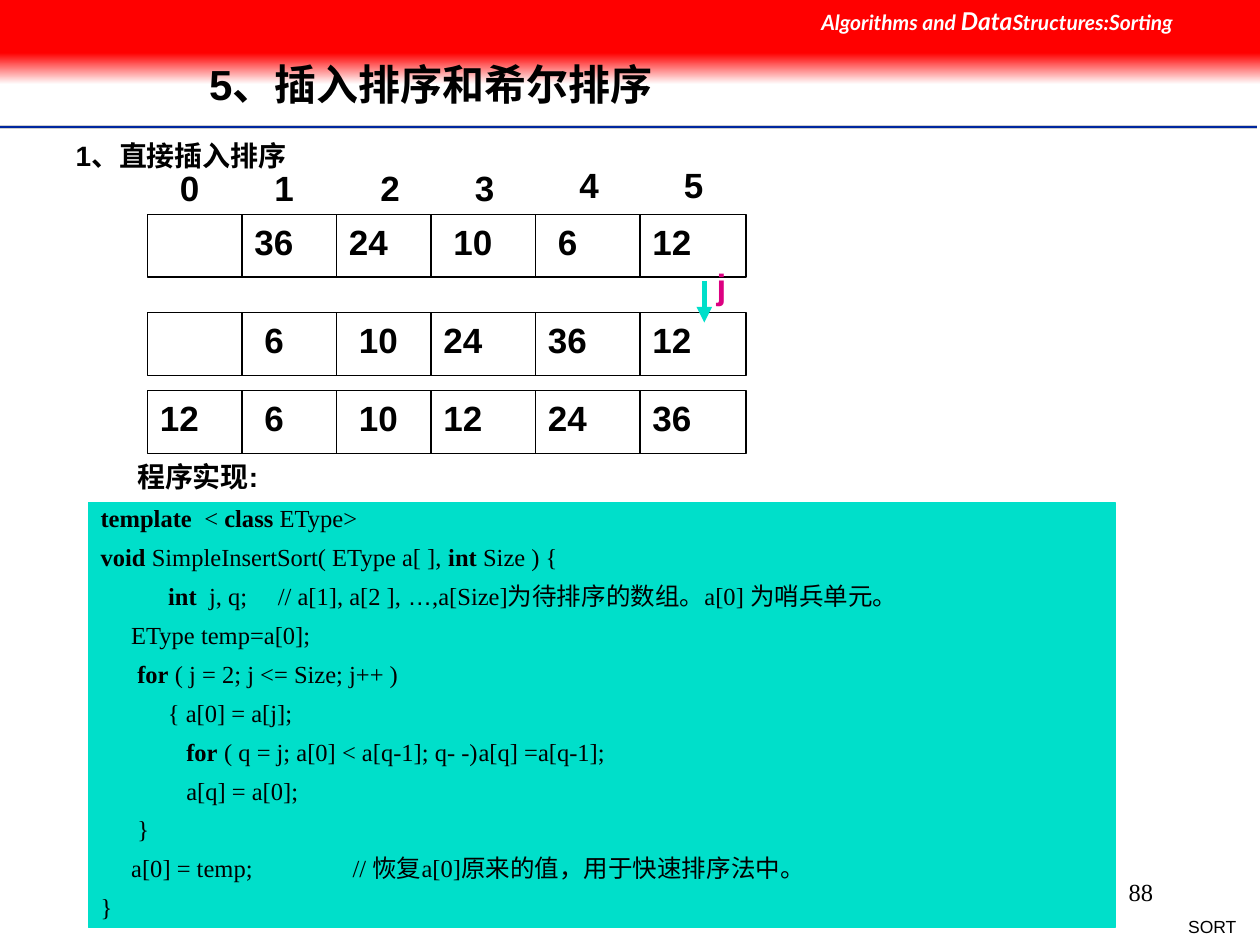
from lxml import etree
from pptx import Presentation
from pptx.dml.color import RGBColor
from pptx.enum.shapes import MSO_CONNECTOR, MSO_SHAPE
from pptx.enum.text import MSO_ANCHOR, MSO_AUTO_SIZE, PP_ALIGN
from pptx.oxml.ns import qn
from pptx.util import Inches, Pt

STRAIGHT = MSO_CONNECTOR.STRAIGHT
RECTANGLE = MSO_SHAPE.RECTANGLE
TOP, MIDDLE = MSO_ANCHOR.TOP, MSO_ANCHOR.MIDDLE
LEFT, RIGHT, JUSTIFY = PP_ALIGN.LEFT, PP_ALIGN.RIGHT, PP_ALIGN.JUSTIFY

BLACK = RGBColor(0x00, 0x00, 0x00)
WHITE = RGBColor(0xFF, 0xFF, 0xFF)
RED = RGBColor(0xFF, 0x00, 0x00)
GRAY = RGBColor(0xCE, 0xCE, 0xCE)
NAVY = RGBColor(0x00, 0x27, 0x9F)
TEAL = RGBColor(0x00, 0xDF, 0xCA)
MAGENTA = RGBColor(0xDC, 0x00, 0x81)

SANS, SERIF, HEADER, CHINESE = "Arial", "Times New Roman", "Lato", "Noto Sans CJK SC"

# Array drawing: cell edges, cell height, and the values of each row
EDGES = [1.17, 1.92, 2.67, 3.42, 4.25, 5.08, 5.92]
CELL_HEIGHT = 0.5
ROWS = [
    (1.7, ["", "36", "24", "10", "6", "12"]),
    (2.48, ["", "6", "10", "24", "36", "12"]),
    (3.1, ["12", "6", "10", "12", "24", "36"]),
]
NUDGED = {"6": 0.08, "10": 0.08}
INDEX_PLACES = [(1.33, 1.27), (2.08, 1.27), (2.92, 1.27),
                (3.67, 1.27), (4.5, 1.25), (5.33, 1.25)]

# Code lines as (text, style) spans: b bold, n normal, c Chinese, s sans
CODE = [
    [("template  ", "b"), ("< ", "n"), ("class", "b"), (" EType> ", "n")],
    [("void ", "b"), ("SimpleInsertSort( EType a[ ],", "n"), (" int ", "b"),
     ("Size ) {", "n")],
    [("           ", "n"), ("int ", "b"), (" j, q;     // a[1], a[2 ], ", "n"),
     ("…", "s"), (",a[Size]", "n"), ("为待排序的数组。", "c"), ("a[0] ", "n"),
     ("为哨兵单元。", "c")],
    [("     EType temp=a[0];", "n")],
    [("      for", "b"), (" ( j = 2; j <= Size; j++ )  ", "n")],
    [("           { a[0] = a[j];", "n")],
    [("              for", "b"),
     (" ( q = j; a[0] < a[q-1]; q- -)\ta[q] =a[q-1];", "n")],
    [("              a[q] = a[0];", "n")],
    [("      }", "n")],
    [("     a[0] = temp;\t// ", "n"), ("恢复", "c"), ("a[0]", "n"),
     ("原来的值，用于快速排序法中。", "c")],
    [("}", "n")],
]
CODE_FONTS = {"b": SERIF, "n": SERIF, "c": CHINESE, "s": SANS}


def format_span(span, size, font=SANS, color=BLACK, bold=False, italic=False):
    span.font.size = Pt(size)
    span.font.bold = bold
    span.font.italic = italic
    span.font.color.rgb = color
    span.font.name = font
    east_asian = etree.SubElement(span.font._element, qn("a:ea"))
    east_asian.set("typeface", CHINESE)


def fill_text(box, text, size, align=LEFT, anchor=TOP, spacing=1.0, wrap=True, **style):
    frame = box.text_frame
    frame.text = text
    frame.word_wrap = wrap
    frame.auto_size = MSO_AUTO_SIZE.NONE
    frame.vertical_anchor = anchor
    para = frame.paragraphs[0]
    para.alignment = align
    para.line_spacing = spacing
    para.space_before = Pt(0)
    format_span(para.runs[0], size, **style)
    return para


def add_label(page, place, text, size, **options):
    box = page.shapes.add_textbox(*map(Inches, place))
    return fill_text(box, text, size, **options)


def place_shape(shape, place):
    shape.left, shape.top, shape.width, shape.height = map(Inches, place)


def set_indent(para, margin, first=0):
    properties = para._p.get_or_add_pPr()
    properties.set("marL", str(Inches(margin)))
    properties.set("indent", str(Inches(first)))
    etree.SubElement(properties, qn("a:buNone"))


def add_tabs(para, count):
    tabs = etree.SubElement(para._p.get_or_add_pPr(), qn("a:tabLst"))
    for inch in range(1, count + 1):
        etree.SubElement(tabs, qn("a:tab"), pos=str(Inches(inch)), algn="l")


def add_rectangle(page, place, fill=None, line=None):
    shape = page.shapes.add_shape(RECTANGLE, *map(Inches, place))
    shape.shadow.inherit = False
    if fill is not None:
        shape.fill.solid()
        shape.fill.fore_color.rgb = fill
    if line is None:
        shape.line.fill.background()
    else:
        shape.line.color.rgb = line
        shape.line.width = Pt(0.75)
    return shape


def add_line(page, start, end, color, width, arrow=False):
    line = page.shapes.add_connector(STRAIGHT, *map(Inches, start + end))
    line.line.color.rgb = color
    line.line.width = Pt(width)
    if arrow:
        etree.SubElement(line.line._get_or_add_ln(), qn("a:tailEnd"), type="triangle")
    etree.SubElement(line._element.spPr, qn("a:effectLst"))


def add_banner(page):
    for top, color, width in [(1.01, GRAY, 2), (1.01, NAVY, 1), (1.03, WHITE, 1)]:
        add_line(page, (0, top), (9.98, top), color, width)
    fade = add_rectangle(page, (0, 0.42, 10, 0.25))
    fade.fill.gradient()
    fade.fill.gradient_angle = 270
    for stop, color, position in zip(fade.fill.gradient_stops, (RED, WHITE), (0, 1)):
        stop.color.rgb = color
        stop.position = position
    add_rectangle(page, (0, 0, 10, 0.42), RED)
    style = dict(font=HEADER, color=WHITE, bold=True, italic=True)
    para = add_label(page, (6.42, 0, 3.58, 0.34), "Algorithms and ", 12, **style)
    for text, size in [("Data", 14), ("Structures:Sorting", 12)]:
        span = para.add_run()
        span.text = text
        format_span(span, size, **style)


def add_array_row(page, top, values):
    left, right = EDGES[0], EDGES[-1]
    add_rectangle(page, (left, top, right - left, CELL_HEIGHT), WHITE, BLACK)
    for edge in EDGES[1:-1]:
        add_line(page, (edge, top), (edge, top + CELL_HEIGHT), BLACK, 0.75)
    for edge, value in zip(EDGES, values):
        if value:
            place = (edge + NUDGED.get(value, 0), top, 0.67, 0.44)
            add_label(page, place, value, 20, bold=True)


def add_code(page):
    box = add_rectangle(page, (0.7, 3.99, 8.15, 3.37), TEAL, TEAL)
    frame = box.text_frame
    frame.word_wrap = True
    frame.vertical_anchor = TOP
    for number, spans in enumerate(CODE):
        para = frame.add_paragraph() if number else frame.paragraphs[0]
        add_tabs(para, 7)
        para.alignment = JUSTIFY
        para.line_spacing = 0.8
        para.space_before = Pt(8.8 if number else 0)
        for text, style in spans:
            span = para.add_run()
            span.text = text
            format_span(span, 14, CODE_FONTS[style], bold=style == "b")


def main():
    deck = Presentation()
    deck.slide_width, deck.slide_height = Inches(10), Inches(7.5)
    page = deck.slides.add_slide(deck.slide_layouts[1])
    title, heading = page.placeholders

    # Banner, title and section heading
    add_banner(page)
    place_shape(title, (1.56, 0.32, 7.55, 0.74))
    fill_text(title, "5、插入排序和希尔排序", 24, anchor=MIDDLE, spacing=0.9, bold=True)
    place_shape(heading, (0, 1.05, 2.75, 0.37))
    set_indent(fill_text(heading, "1、直接插入排序", 16, bold=True), 0.5)
    for shape in (title, heading):
        page.shapes._spTree.append(shape._element)

    # Array states with their indexes and the pointer j
    for index, (left, top) in enumerate(INDEX_PLACES):
        add_label(page, (left, top, 0.33, 0.44), str(index), 20, bold=True)
    for top, values in ROWS:
        add_array_row(page, top, values)
    add_line(page, (5.59, 2.23), (5.59, 2.56), TEAL, 3, arrow=True)
    add_label(page, (5.59, 2.05, 0.33, 0.44), "j", 20, color=MAGENTA, bold=True)

    # Program
    para = add_label(page, (0, 3.63, 9.75, 0.34), "程序实现:", 16, spacing=0.9, bold=True)
    set_indent(para, 0.93, 0.06)
    add_code(page)

    # Page number and footer
    add_label(page, (7.17, 6.83, 2.08, 0.5), "88", 14, align=RIGHT, anchor=MIDDLE, font=SERIF)
    add_label(page, (9.32, 7.22, 0.59, 0.27), "SORT", 10, align=RIGHT, wrap=False)
    deck.save("out.pptx")


if __name__ == "__main__":
    main()
